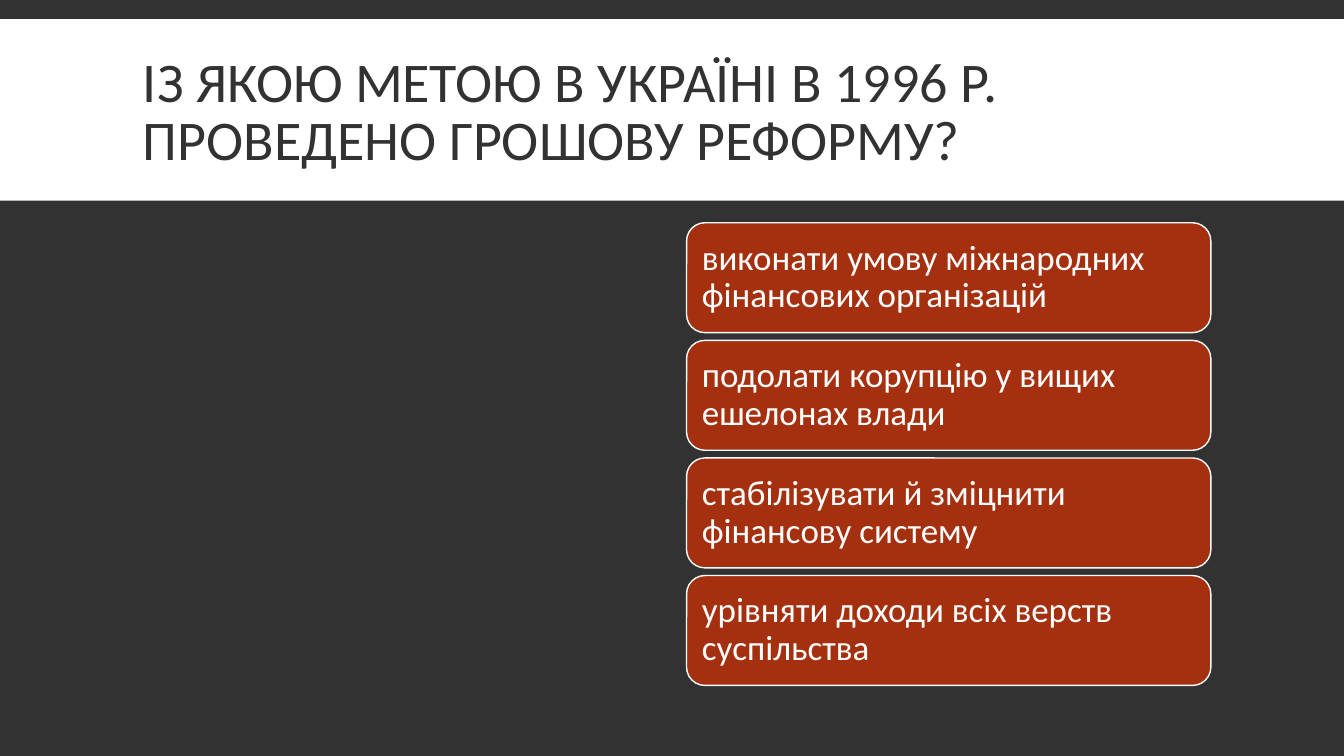
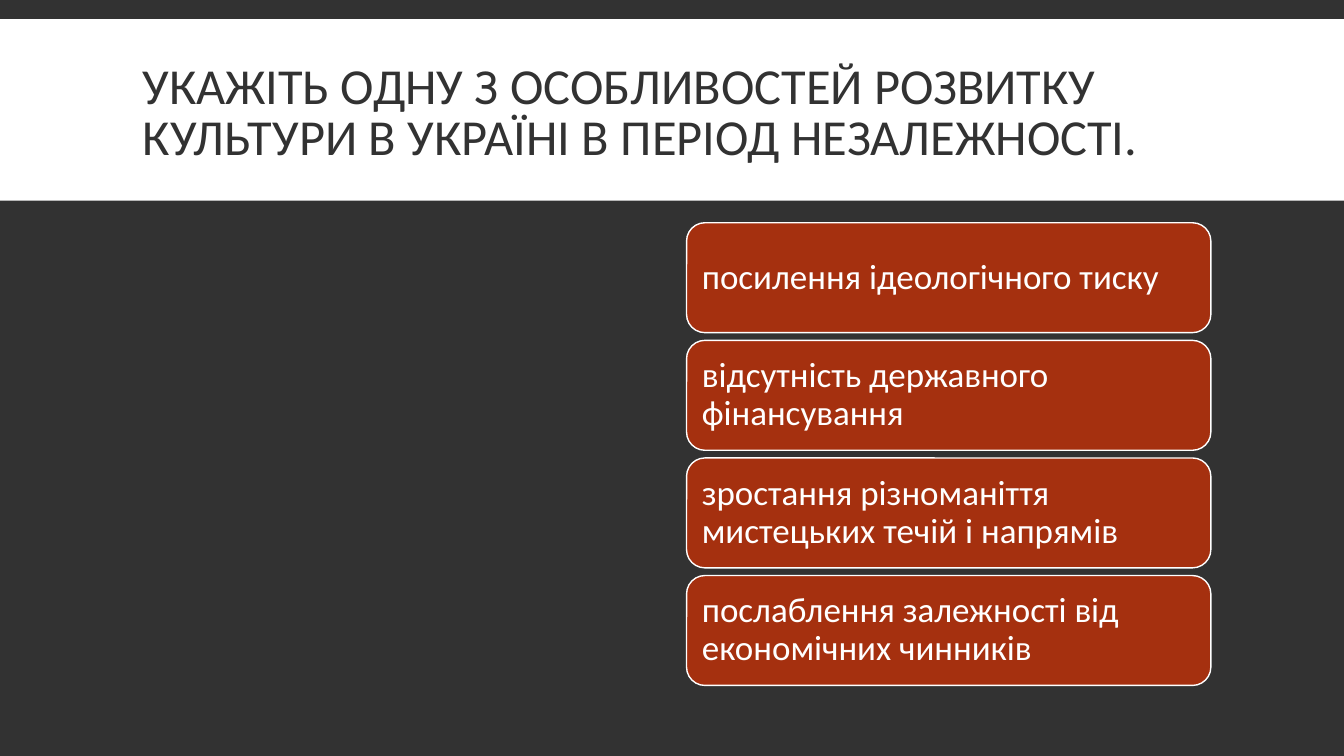
"""Build two quiz slides, each with a question band and four answer cards."""
from dataclasses import dataclass

from pptx import Presentation
from pptx import util as u
from pptx.dml.color import RGBColor
from pptx.enum import shapes, text

WIDTH, HEIGHT = 13.33, 7.5
FONT = "Calibri"
DARK, WHITE, RUST = "323232", "FFFFFF", "A5300F"


@dataclass(frozen=True)
class Box:
    left: float
    top: float
    width: float
    height: float

    def lengths(self) -> tuple:
        return tuple(map(u.Inches, (self.left, self.top, self.width, self.height)))

    def row(self, index: int, count: int, height: float) -> "Box":
        step = (self.height - height) / (count - 1)
        return Box(self.left, self.top + index * step, self.width, height)


@dataclass(frozen=True)
class Question:
    wording: str
    size: int
    answers: tuple[str, ...]


BAND = Box(0, 0.19, WIDTH, 1.8)
TITLE = Box(1.32, 0.31, 10.7, 1.65)
ANSWERS = Box(6.81, 2.21, 5.2, 4.59)
CARD_HEIGHT = 1.09

QUESTIONS = (
    Question("ІЗ ЯКОЮ МЕТОЮ В УКРАЇНІ В 1996 Р. ПРОВЕДЕНО ГРОШОВУ РЕФОРМУ?", 40, (
        "виконати умову міжнародних фінансових організацій",
        "подолати корупцію у вищих ешелонах влади",
        "стабілізувати й зміцнити фінансову систему",
        "урівняти доходи всіх верств суспільства",
    )),
    Question("УКАЖІТЬ ОДНУ З ОСОБЛИВОСТЕЙ РОЗВИТКУ КУЛЬТУРИ В УКРАЇНІ В ПЕРІОД НЕЗАЛЕЖНОСТІ.", 36, (
        "посилення ідеологічного тиску",
        "відсутність державного фінансування",
        "зростання різноманіття мистецьких течій і напрямів",
        "послаблення залежності від економічних чинників",
    )),
)


def paint(fill, colour: str) -> None:
    fill.solid()
    fill.fore_color.rgb = RGBColor.from_string(colour)


def write(shape, wording: str, *, size: float, colour: str, spacing: float, inset: float = 0.1) -> None:
    frame = shape.text_frame
    frame.word_wrap = True
    frame.vertical_anchor = text.MSO_ANCHOR.MIDDLE
    frame.margin_left = frame.margin_right = u.Inches(inset)
    frame.margin_top = frame.margin_bottom = u.Inches(inset / 2)
    paragraph = frame.paragraphs[0]
    paragraph.text = wording
    paragraph.alignment = text.PP_ALIGN.LEFT
    paragraph.line_spacing = spacing
    paragraph.font.name = FONT
    paragraph.font.size = u.Pt(size)
    paragraph.font.color.rgb = RGBColor.from_string(colour)


def add_panel(slide, kind, box: Box, fill: str, outline: str | None = None):
    panel = slide.shapes.add_shape(kind, *box.lengths())
    panel.shadow.inherit = False
    paint(panel.fill, fill)
    if outline:
        paint(panel.line.fill, outline)
        panel.line.width = u.Pt(1)
    else:
        panel.line.fill.background()
    return panel


def add_question(deck, question: Question) -> None:
    slide = deck.slides.add_slide(deck.slide_layouts[6])
    add_panel(slide, shapes.MSO_SHAPE.RECTANGLE, BAND, WHITE)
    title = slide.shapes.add_textbox(*TITLE.lengths())
    write(title, question.wording, size=question.size, colour=DARK, spacing=0.85)
    for index, answer in enumerate(question.answers):
        place = ANSWERS.row(index, len(question.answers), CARD_HEIGHT)
        card = add_panel(slide, shapes.MSO_SHAPE.ROUNDED_RECTANGLE, place, RUST, WHITE)
        write(card, answer, size=25, colour=WHITE, spacing=0.9)


def main() -> None:
    deck = Presentation()
    deck.slide_width, deck.slide_height = u.Inches(WIDTH), u.Inches(HEIGHT)
    paint(deck.slide_master.background.fill, DARK)
    for question in QUESTIONS:
        add_question(deck, question)
    deck.save("out.pptx")


if __name__ == "__main__":
    main()
